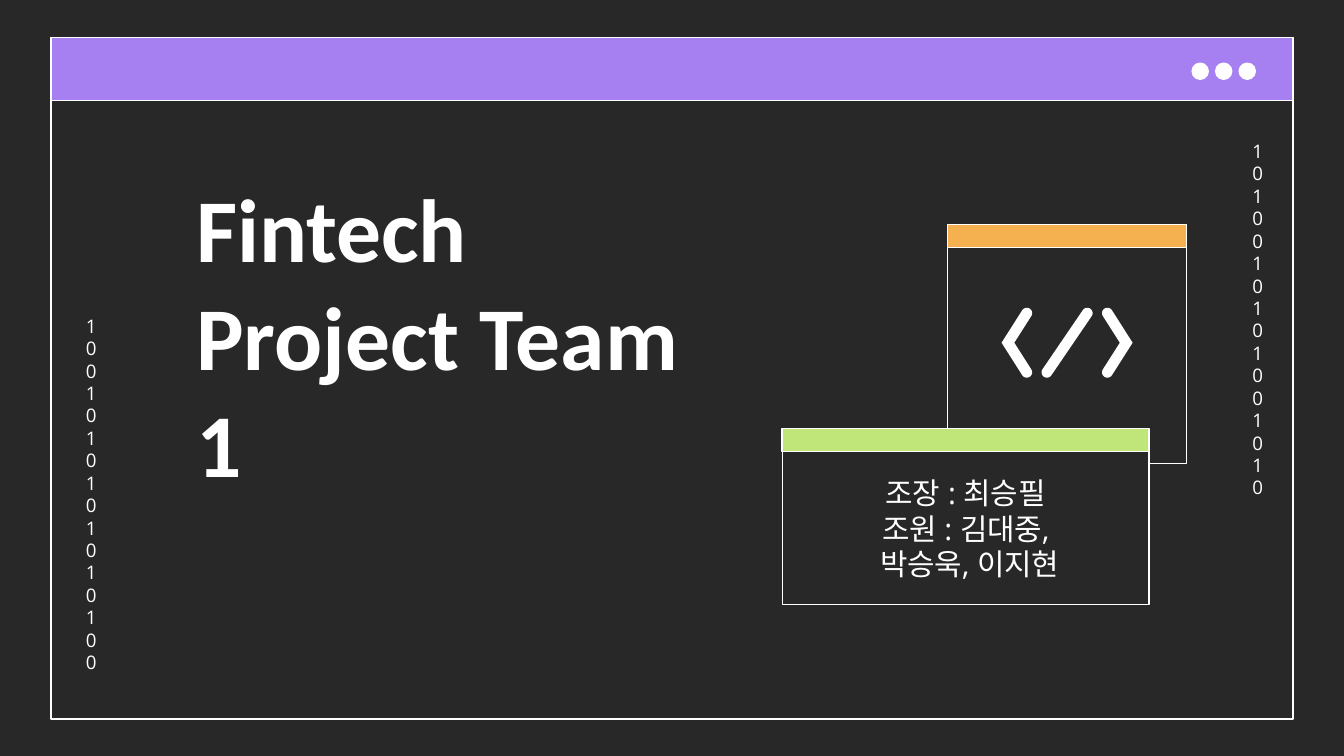
from math import atan2, cos, hypot, pi, sin

from pptx import Presentation
from pptx.dml.color import RGBColor
from pptx.enum.shapes import MSO_SHAPE as Preset
from pptx.enum.text import MSO_ANCHOR as Anchor, MSO_AUTO_SIZE as AutoSize, PP_ALIGN as Align
from pptx.oxml.ns import qn
from pptx.util import Inches, Pt

DARK, WHITE = "292828", "FFFFFF"
PURPLE, ORANGE, GREEN = "A67FF1", "F5B150", "C0E67A"


def color(hex_value):
    return RGBColor.from_string(hex_value)


def paint(shape, fill=None, outline=None):
    if fill:
        shape.fill.solid()
        shape.fill.fore_color.rgb = color(fill)
    else:
        shape.fill.background()
    if outline:
        shape.line.color.rgb = color(outline)
        shape.line.width = Pt(0.75)
    else:
        shape.line.fill.background()


def add_panel(slide, left, top, width, height, fill=None, preset=Preset.RECTANGLE):
    panel = slide.shapes.add_shape(
        preset, Inches(left), Inches(top), Inches(width), Inches(height))
    panel.shadow.inherit = False
    paint(panel, fill, WHITE)


def add_window(slide, left, top, width, height, bar_height, bar_color):
    add_panel(slide, left, top, width, height)
    add_panel(slide, left, top, width, bar_height, bar_color)


def write_text(shape, text, font, size, align, anchor, bold=False):
    frame = shape.text_frame
    frame.text = text
    frame.word_wrap = True
    frame.auto_size = AutoSize.NONE
    frame.vertical_anchor = anchor
    frame.margin_left = frame.margin_right = Inches(0.1)
    frame.margin_top = frame.margin_bottom = Inches(0.1)
    for paragraph in frame.paragraphs:
        paragraph.alignment = align
        paragraph.line_spacing = 1.0
        paragraph.space_before = Pt(0)
        for run in paragraph.runs:
            run.font.name = font
            run.font.size = Pt(size)
            run.font.bold = bold
            run.font.color.rgb = color(WHITE)
            east_asian = run.font._element.makeelement(qn("a:ea"), {"typeface": font})
            run.font._element.find(qn("a:latin")).addnext(east_asian)


def add_digits(slide, left, top, digits):
    column = slide.shapes.add_textbox(Inches(left), Inches(top), Inches(0.24), Inches(2.8))
    write_text(column, digits, "Open Sans", 10, Align.CENTER, Anchor.TOP)


def place(placeholder, left, top, width, height):
    placeholder.left, placeholder.top = Inches(left), Inches(top)
    placeholder.width, placeholder.height = Inches(width), Inches(height)


def stroke_outline(stroke, radius):
    loop = stroke + stroke[-2:0:-1]
    outline = []
    for i, (x, y) in enumerate(loop):
        before, after = loop[i - 1], loop[(i + 1) % len(loop)]
        if before == after:
            heading = atan2(y - before[1], x - before[0])
            turns = [heading - pi / 2 + pi * step / 12 for step in range(13)]
            outline += [(x + radius * cos(t), y + radius * sin(t)) for t in turns]
        else:
            length_in = hypot(x - before[0], y - before[1])
            length_out = hypot(after[0] - x, after[1] - y)
            nx, ny = (y - before[1]) / length_in, (before[0] - x) / length_in
            mx, my = (after[1] - y) / length_out, (x - after[0]) / length_out
            miter = radius / (1 + nx * mx + ny * my)
            outline.append((x + miter * (nx + mx), y + miter * (ny + my)))
    return [(Inches(x), Inches(y)) for x, y in outline]


def add_code_icon(slide):
    strokes = [
        [(7.64, 2.33), (7.5, 2.55), (7.64, 2.77)],
        [(8.09, 2.33), (7.79, 2.77)],
        [(8.24, 2.33), (8.38, 2.55), (8.24, 2.77)],
    ]
    outlines = [stroke_outline(stroke, 0.04) for stroke in strokes]
    builder = slide.shapes.build_freeform(*outlines[0][0])
    for i, outline in enumerate(outlines):
        if i:
            builder.move_to(*outline[0])
        builder.add_line_segments(outline[1:], close=True)
    icon = builder.convert_to_shape()
    icon.shadow.inherit = False
    paint(icon, WHITE)


def main():
    deck = Presentation()
    deck.slide_width, deck.slide_height = Inches(10), Inches(10 * 9 / 16)
    slide = deck.slides.add_slide(deck.slide_layouts[0])
    slide.background.fill.solid()
    slide.background.fill.fore_color.rgb = color(DARK)
    title, members = slide.placeholders

    add_window(slide, 0.38, 0.28, 9.24, 5.07, 0.47, PURPLE)
    for i in range(3):
        add_panel(slide, 8.87 + 0.175 * i, 0.47, 0.12, 0.12, WHITE, Preset.OVAL)
    add_digits(slide, 9.22, 0.94, "1010010101001010")
    add_digits(slide, 0.54, 2.24, "1001010101010100")

    add_window(slide, 7.05, 1.67, 1.78, 1.78, 0.17, ORANGE)
    add_code_icon(slide)

    place(title, 1.36, 1.18, 3.87, 2.61)
    write_text(title, "Fintech Project Team 1", "Calibri", 48, Align.LEFT,
               Anchor.BOTTOM, bold=True)

    place(members, 5.82, 3.36, 2.73, 1.14)
    paint(members, DARK, WHITE)
    write_text(members, "조장 : 최승필\n조원 : 김대중,\n 박승욱, 이지현", "Open Sans", 16,
               Align.CENTER, Anchor.MIDDLE)
    for placeholder in (title, members):
        slide.shapes.element.append(placeholder.element)
    add_panel(slide, 5.82, 3.19, 2.73, 0.17, GREEN)

    deck.save("out.pptx")


if __name__ == "__main__":
    main()
